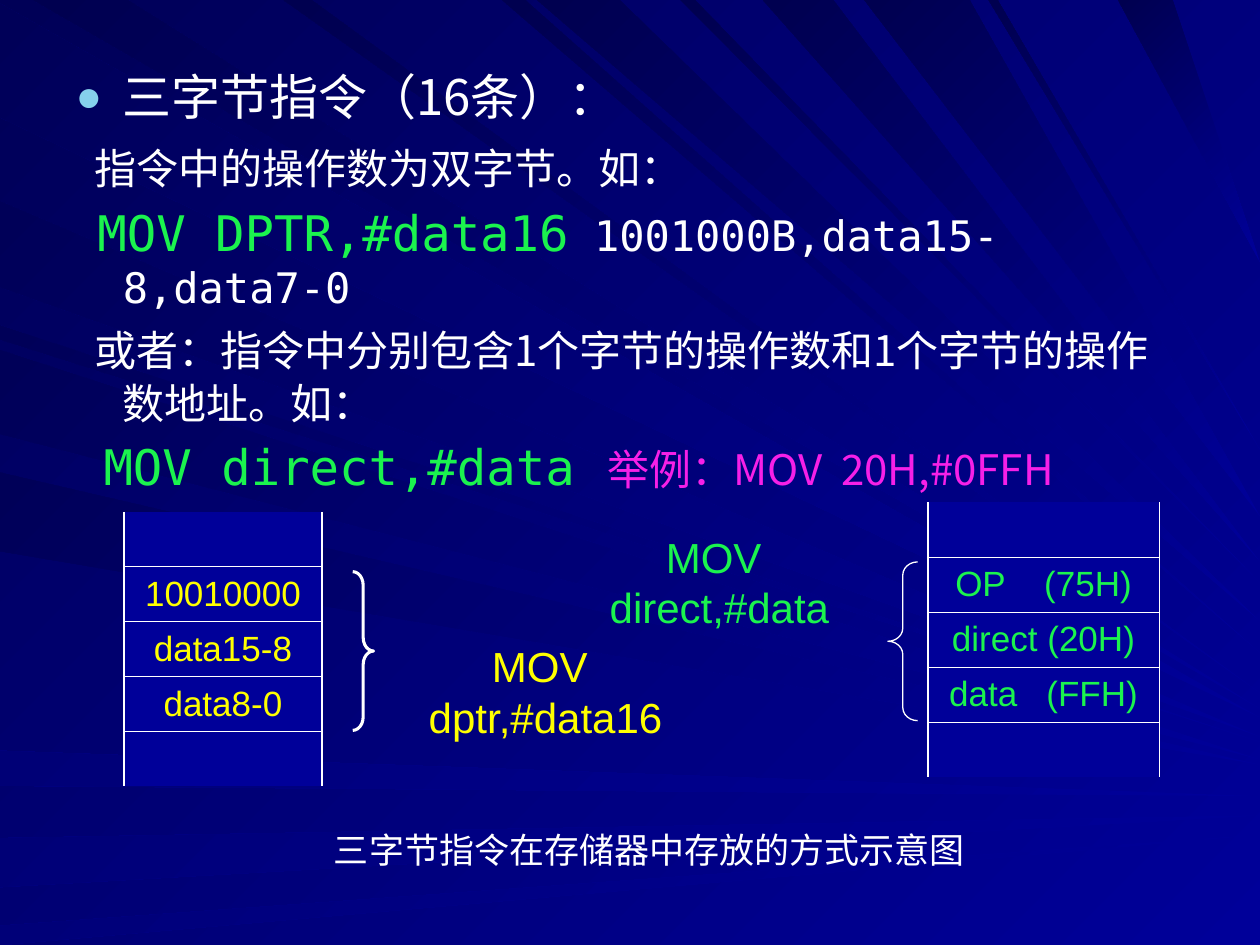
import pptx
import pptx.dml.color
import pptx.enum.shapes
import pptx.enum.text
import pptx.oxml.ns
import pptx.util
from lxml import etree

Pt = pptx.util.Pt
RGB = pptx.dml.color.RGBColor.from_string
qn = pptx.oxml.ns.qn
COLORS = {"white": "FFFFFF", "green": "1BF34E", "yellow": "FFFF00", "magenta": "F620E7",
          "bullet": "86D1EC", "blue": "000099", "night": "000057",
          "top ray": "000050", "left ray": "000058", "low ray": "000076"}
CJK, MONO, SANS = "Noto Sans CJK SC", "DejaVu Sans Mono", "Arial"
CENTER = pptx.enum.text.PP_ALIGN.CENTER
MIDDLE = pptx.enum.text.MSO_ANCHOR.MIDDLE


def shade(fill, dark):
    """Gradient from blue at the lower right to a dark colour at the upper left."""
    fill.gradient()
    fill.gradient_angle = 135
    for position, color in enumerate(("blue", dark)):
        stop = fill.gradient_stops[position]
        stop.color.rgb = RGB(COLORS[color])
        stop.position = position


def write(paragraph, text, size, font, color):
    run = paragraph.add_run()
    run.text = text
    for name, value in {"size": Pt(size), "name": font, "bold": False}.items():
        setattr(run.font, name, value)
    run.font.color.rgb = RGB(COLORS[color])
    etree.SubElement(run.font._element, qn("a:ea"), typeface=CJK if font == SANS else font)


presentation = pptx.Presentation()
presentation.slide_width, presentation.slide_height = Pt(720), Pt(540)
slide = presentation.slides.add_slide(presentation.slide_layouts[1])
title, body = slide.placeholders
title._element.getparent().remove(title._element)

# Background: rays from the top or left edge (start, end) to a height on the right edge
shade(slide.background.fill, "night")
RAYS = {
    "left ray": [(2, 67, 410), (115, 164, 421), (186, 194, 424), (200, 248, 434), (270, 315, 437)],
    "low ray": [(429, 449, 455), (479, 507, 466), (529, 540, 477)],
    "top ray": [(19, 73, 405), (162, 178, 396), (287, 300, 373), (307, 354, 355),
                (389, 397, 333), (436, 476, 321), (494, 554, 295), (565, 570, 257),
                (639, 670, 150)],
}
for edge, rays in RAYS.items():
    for start, end, height in rays:
        corners = [(x, 0) if edge == "top ray" else (0, x) for x in (start, end)]
        builder = slide.shapes.build_freeform(*corners[0], scale=float(Pt(1)))
        builder.add_line_segments([corners[1], (720, height)], close=True)
        ray = builder.convert_to_shape()
        ray.shadow.inherit = False
        ray.line.fill.background()
        shade(ray.fill, edge)

# Body text, in front of the rays
slide.shapes._spTree.append(body._element)
for name, value in {"left": 36, "top": 31.7, "width": 648, "height": 238.3}.items():
    setattr(body, name, Pt(value))
frame = body.text_frame
frame.auto_size = pptx.enum.text.MSO_AUTO_SIZE.NONE
frame.word_wrap = True
# Each paragraph: left margin, first-line indent, line height, space before, runs
PARAGRAPHS = [
    (27, -27, 36.5, 0, [("三字节指令（16条）：", 28, CJK, "white")]),
    (27, -16.3, 32.5, 6, [("指令中的操作数为双字节。如：", 24, CJK, "white")]),
    (27, -14.5, 29, 10, [("MOV DPTR,#data16", 28, MONO, "green"),
                         (" 1001000B,data15-8,data7-0", 24, MONO, "white")]),
    (27, -16.3, 30, 6, [("或者：指令中分别包含1个字节的操作数和1个字节的操作数地址。如：",
                         24, CJK, "white")]),
    (16, 0, 32, 7, [("MOV direct,#data", 28, MONO, "green"),
                    ("\t举例：MOV  20H,#0FFH", 24, CJK, "magenta")]),
]
for number, (margin, indent, height, before, runs) in enumerate(PARAGRAPHS):
    paragraph = frame.add_paragraph() if number else frame.paragraphs[0]
    properties = paragraph._p.get_or_add_pPr()
    properties.set("marL", str(Pt(margin)))
    properties.set("indent", str(Pt(indent)))
    if number == 0:
        bullet_color = etree.SubElement(properties, qn("a:buClr"))
        etree.SubElement(bullet_color, qn("a:srgbClr"), val=COLORS["bullet"])
        etree.SubElement(properties, qn("a:buSzPct"), val="90000")
        etree.SubElement(properties, qn("a:buFont"), typeface=SANS)
        etree.SubElement(properties, qn("a:buChar"), char="●")
    else:
        etree.SubElement(properties, qn("a:buNone"))
    if "\t" in runs[-1][0]:
        tabs = etree.SubElement(properties, qn("a:tabLst"))
        etree.SubElement(tabs, qn("a:tab"), pos=str(Pt(301)), algn="l")
    paragraph.line_spacing, paragraph.space_before = Pt(height), Pt(before)
    for run in runs:
        write(paragraph, *run)

# Memory columns, open at the top and bottom
ROW = 31.4
MEMORIES = [
    (70.8, 292.5, 113.3, "yellow", ["", "10010000", "data15-8", "data8-0", ""]),
    (530.2, 287, 132.3, "green", ["", "OP    (75H)", "direct (20H)", "data   (FFH)", ""]),
]
for left, top, width, color, words in MEMORIES:
    count = len(words)
    table = slide.shapes.add_table(count, 1, Pt(left), Pt(top), Pt(width), Pt(ROW * count)).table
    table.first_row = table.horz_banding = False
    for number, word in enumerate(words):
        table.rows[number].height = Pt(ROW)
        cell = table.cell(number, 0)
        cell.vertical_anchor = MIDDLE
        cell.fill.solid()
        cell.fill.fore_color.rgb = RGB(COLORS["blue"])
        if word:
            paragraph = cell.text_frame.paragraphs[0]
            paragraph.alignment = CENTER
            write(paragraph, word, 20, SANS, color)
        borders = {"lnL": 1.08, "lnR": 1.08, "lnT": 0.45 if number else 0,
                   "lnB": 0.45 if number < count - 1 else 0}
        for position, (side, weight) in enumerate(borders.items()):
            line = etree.Element(qn("a:" + side), w=str(Pt(weight)))
            if weight:
                solid = etree.SubElement(line, qn("a:solidFill"))
                etree.SubElement(solid, qn("a:srgbClr"), val=COLORS["white"])
            else:
                etree.SubElement(line, qn("a:noFill"))
            cell._tc.get_or_add_tcPr().insert(position, line)

# Braces
SHAPES = pptx.enum.shapes.MSO_SHAPE
BRACES = [(SHAPES.RIGHT_BRACE, 201.6, 326.7, 11.9, 0.65, 1.75),
          (SHAPES.LEFT_BRACE, 507.4, 321.1, 17, 0.44, 0.75)]
for kind, left, top, width, curve, weight in BRACES:
    brace = slide.shapes.add_shape(kind, Pt(left), Pt(top), Pt(width), Pt(90.7))
    brace.shadow.inherit = False
    brace.adjustments[0] = curve
    brace.fill.background()
    brace.line.color.rgb = RGB(COLORS["white"])
    brace.line.width = Pt(weight)

# Labels and caption
LABELS = [
    ("MOV  dptr,#data16", 212.4, 378, 198.7, 24, "yellow"),
    ("MOV  direct,#data", 314.6, 315.4, 193, 24, "green"),
    ("三字节指令在存储器中存放的方式示意图", 178.6, 468.7, 385.2, 20, "white"),
]
for text, left, top, width, size, color in LABELS:
    label = slide.shapes.add_textbox(Pt(left), Pt(top), Pt(width), Pt(33.8))
    label.text_frame.word_wrap = False
    label.text_frame.vertical_anchor = MIDDLE
    paragraph = label.text_frame.paragraphs[0]
    paragraph.alignment = CENTER
    write(paragraph, text, size, SANS, color)

presentation.save("out.pptx")
